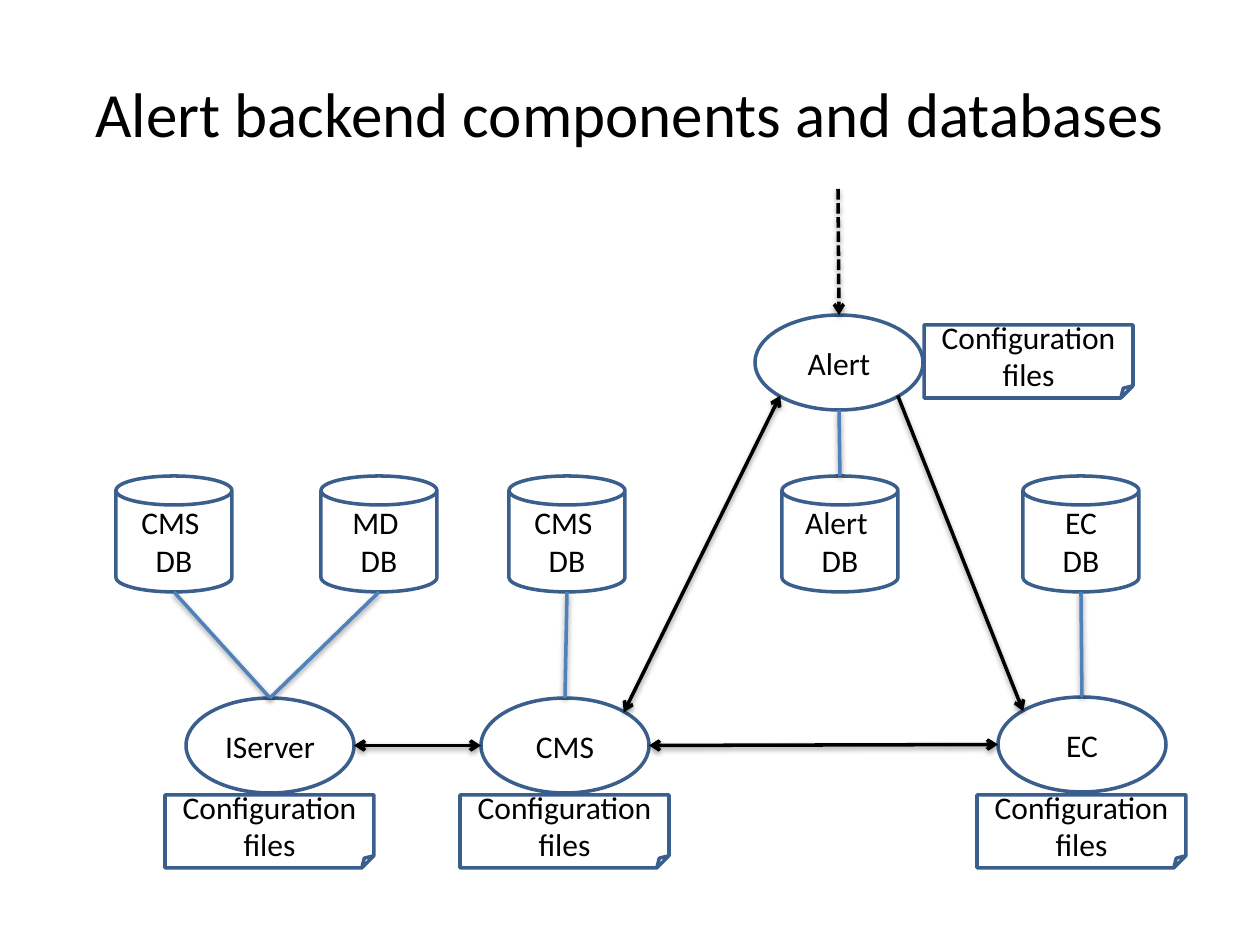
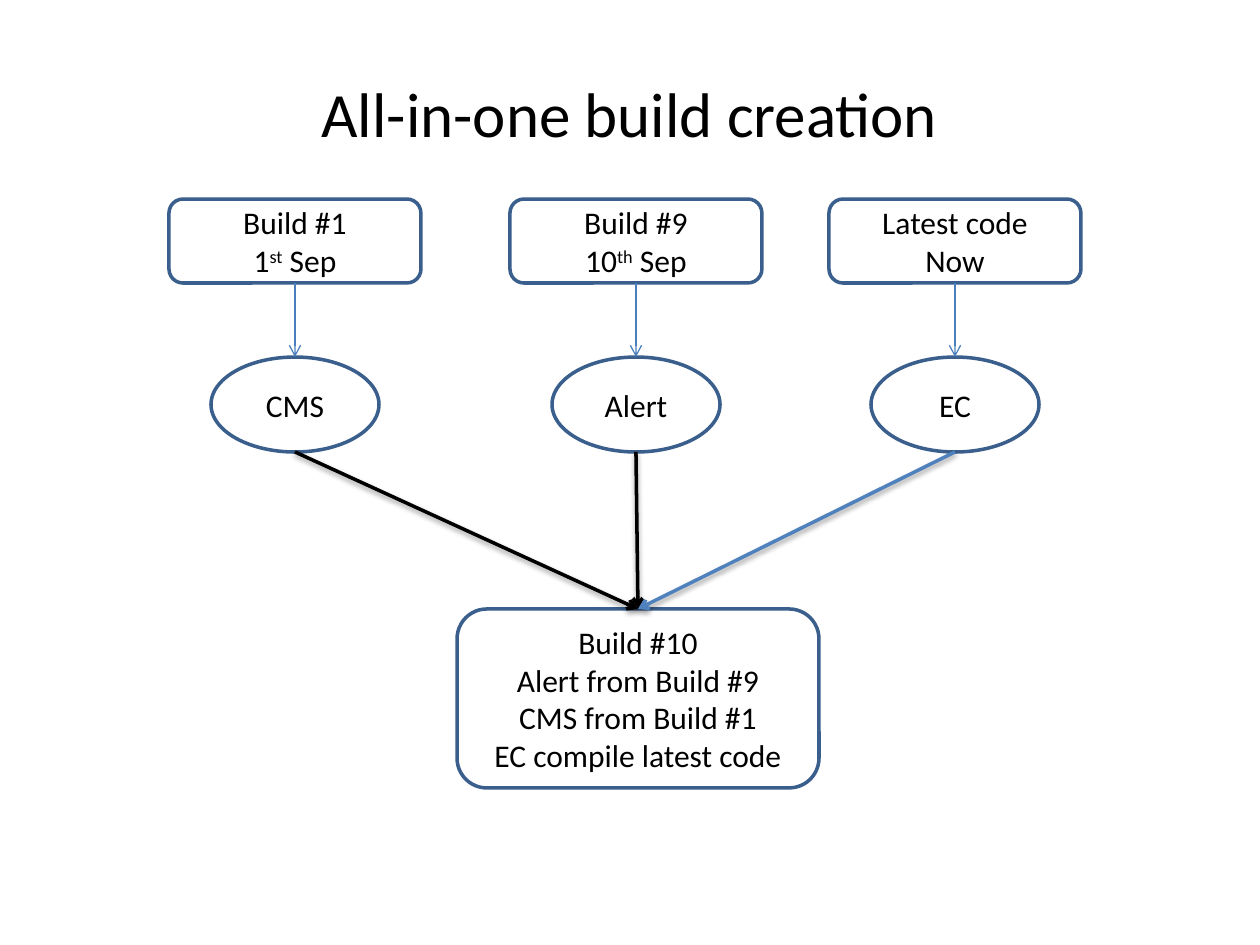
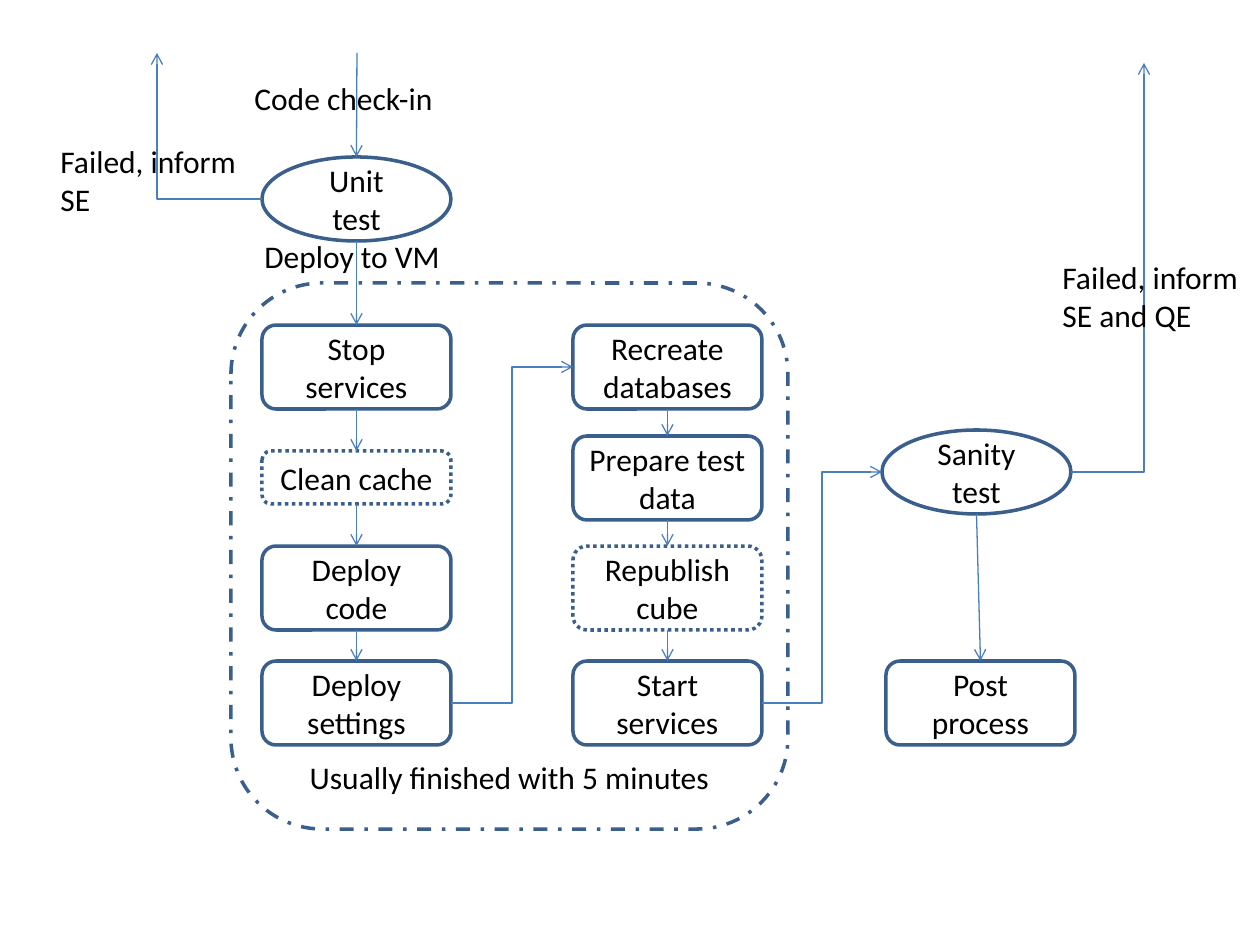
from lxml import etree
from pptx import Presentation
from pptx.dml.color import RGBColor
from pptx.enum.dml import MSO_LINE
from pptx.enum.shapes import MSO_CONNECTOR, MSO_SHAPE
from pptx.enum.text import MSO_ANCHOR, MSO_AUTO_SIZE, PP_ALIGN
from pptx.oxml.ns import qn
from pptx.util import Pt

EMU_PER_PX = 914400 / 126
BLANK_LAYOUT = 6
FONT = "Calibri"
BLACK = "000000"
OUTLINE = "3A5F8C"
BLUE = "4F81BD"
THIN_BLUE = "4B7EBC"

CAN = MSO_SHAPE.CAN
ELLIPSE = MSO_SHAPE.OVAL
NOTE = MSO_SHAPE.FOLDED_CORNER
ROUNDED = MSO_SHAPE.ROUNDED_RECTANGLE
STRAIGHT = MSO_CONNECTOR.STRAIGHT
ELBOW = MSO_CONNECTOR.ELBOW
DOTTED = MSO_LINE.ROUND_DOT
DASHED = MSO_LINE.SQUARE_DOT
DASH_DOT = MSO_LINE.DASH_DOT
CENTER = PP_ALIGN.CENTER
LEFT = PP_ALIGN.LEFT
TOP = MSO_ANCHOR.TOP
MIDDLE = MSO_ANCHOR.MIDDLE
BOTTOM = MSO_ANCHOR.BOTTOM
GROW = MSO_AUTO_SIZE.SHAPE_TO_FIT_TEXT

# Fractions of a shape's width and height; diagonals lie on an ellipse.
PLACES = {
    "top": (0.5, 0), "left": (0, 0.5), "bottom": (0.5, 1), "right": (1, 0.5),
    "top left": (0.15, 0.15), "top right": (0.85, 0.15),
    "bottom left": (0.15, 0.85), "bottom right": (0.85, 0.85),
}
SITES = {"top": 0, "left": 1, "bottom": 2, "right": 3}

ELLIPSE_WIDTH, ELLIPSE_HEIGHT = 168, 95
CAN_SIZE, CAN_TOP = 116, 476
NOTE_WIDTH, NOTE_HEIGHT, NOTE_TOP = 209, 73, 795
BUILD_WIDTH, BUILD_HEIGHT = 252, 84
STEP_WIDTH, STEP_HEIGHT = 189, 84


def px(length):
    return round(length * EMU_PER_PX)


def color(hex_string):
    return RGBColor.from_string(hex_string)


def write_text(shape, text, size=18, align=CENTER, anchor=MIDDLE):
    """Write one paragraph per line; text between ^ marks is superscript."""
    frame = shape.text_frame
    frame.word_wrap = True
    frame.vertical_anchor = anchor
    for index, line in enumerate(text.split("\n")):
        paragraph = frame.add_paragraph() if index else frame.paragraphs[0]
        paragraph.alignment = align
        for position, piece in enumerate(line.split("^")):
            run = paragraph.add_run()
            run.text = piece
            run.font.name = FONT
            run.font.size = Pt(size)
            run.font.color.rgb = color(BLACK)
            if position % 2:
                run._r.get_or_add_rPr().set("baseline", "30000")


def add_label(slide, text, left, top, width, height, **text_format):
    box = slide.shapes.add_textbox(px(left), px(top), px(width), px(height))
    write_text(box, text, anchor=TOP, **text_format)
    box.text_frame.auto_size = GROW


def add_title(slide, text):
    add_label(slide, text, 73, 68, 1113, 90, size=36)


def add_box(slide, kind, text, left, top, width, height, dash=None, anchor=MIDDLE):
    shape = slide.shapes.add_shape(kind, px(left), px(top), px(width), px(height))
    shape.shadow.inherit = False
    shape.fill.background()
    shape.line.color.rgb = color(OUTLINE)
    shape.line.width = Pt(2)
    if dash:
        shape.line.dash_style = dash
    write_text(shape, text, anchor=anchor)
    return shape


def add_component(slide, text, left, top):
    return add_box(slide, ELLIPSE, text, left, top, ELLIPSE_WIDTH, ELLIPSE_HEIGHT)


def add_database(slide, text, left):
    return add_box(slide, CAN, text, left, CAN_TOP, CAN_SIZE, CAN_SIZE)


def add_note(slide, left, top):
    add_box(slide, NOTE, "Configuration files", left, top, NOTE_WIDTH, NOTE_HEIGHT)


def add_step(slide, text, left, top, kind=ROUNDED, height=STEP_HEIGHT, dash=None):
    return add_box(slide, kind, text, left, top, STEP_WIDTH, height, dash=dash)


def locate(end):
    """Turn a pair of px, or a shape and one of its places, into EMU."""
    if isinstance(end[0], int):
        return px(end[0]), px(end[1])
    shape, place = end
    across, down = PLACES[place]
    return (round(shape.left + across * shape.width),
            round(shape.top + down * shape.height))


def can_join(end):
    return not isinstance(end[0], int) and end[0].auto_shape_type == ROUNDED


def add_effects(connector, shadow):
    effects = etree.SubElement(connector._element.spPr, qn("a:effectLst"))
    if shadow:
        outer = etree.SubElement(effects, qn("a:outerShdw"), blurRad="40000",
                                 dist="20000", dir="5400000", rotWithShape="0")
        shade = etree.SubElement(outer, qn("a:srgbClr"), val=BLACK)
        etree.SubElement(shade, qn("a:alpha"), val="38000")


def connect(slide, start, end, line_color=THIN_BLUE, width=0.75, kind=STRAIGHT,
            heads=("tailEnd",), dash=None, shadow=False, one_bend=False):
    connector = slide.shapes.add_connector(kind, *locate(start), *locate(end))
    if kind == STRAIGHT and can_join(start):
        connector.begin_connect(start[0], SITES[start[1]])
    if kind == STRAIGHT and can_join(end):
        connector.end_connect(end[0], SITES[end[1]])
    if one_bend:
        connector._element.spPr.find(qn("a:prstGeom")).set("prst", "bentConnector2")
    connector.line.color.rgb = color(line_color)
    connector.line.width = Pt(width)
    if dash:
        connector.line.dash_style = dash
    for head in heads:
        etree.SubElement(connector.line._get_or_add_ln(), qn(f"a:{head}"), type="arrow")
    add_effects(connector, shadow)


def connect_bold(slide, start, end, line_color=BLACK, **line_format):
    connect(slide, start, end, line_color, width=2, shadow=True, **line_format)


def build_components_slide(slide):
    add_title(slide, "Alert backend components and databases")
    iserver = add_component(slide, "IServer", 186, 698)
    cms = add_component(slide, "CMS", 481, 698)
    ec = add_component(slide, "EC", 998, 697)
    alert = add_component(slide, "Alert", 755, 315)

    databases = [
        ("CMS \nDB", 116, "bottom", iserver, "top"),
        ("MD \nDB", 321, "bottom", iserver, "top"),
        ("CMS \nDB", 509, "bottom", cms, "top"),
        ("Alert \nDB", 782, "top", alert, "bottom"),
        ("EC\nDB", 1023, "bottom", ec, "top"),
    ]
    for text, left, database_side, component, component_side in databases:
        database = add_database(slide, text, left)
        connect_bold(slide, (component, component_side), (database, database_side),
                     BLUE, heads=())

    both_heads = ("headEnd", "tailEnd")
    connect_bold(slide, (iserver, "right"), (cms, "left"), heads=both_heads)
    connect_bold(slide, (cms, "top right"), (alert, "bottom left"), heads=both_heads)
    connect_bold(slide, (cms, "right"), (ec, "left"), heads=both_heads)
    connect_bold(slide, (alert, "bottom right"), (ec, "top left"))
    connect_bold(slide, (838, 189), (alert, "top"), dash=DASHED)

    add_note(slide, 924, 325)
    for component_left in (186, 481, 998):
        add_note(slide, component_left + (ELLIPSE_WIDTH - NOTE_WIDTH) // 2, NOTE_TOP)


def build_all_in_one_slide(slide):
    add_title(slide, "All-in-one build creation")
    result = add_box(
        slide, ROUNDED,
        "Build #10\nAlert from Build #9\nCMS from Build #1\nEC compile latest code",
        457, 609, 362, 179)
    sources = [
        ("Build #1\n1^st^ Sep", "CMS", 169, BLACK),
        ("Build #9\n10^th^ Sep", "Alert", 510, BLACK),
        ("Latest code\nNow", "EC", 829, BLUE),
    ]
    for build_text, component_text, left, line_color in sources:
        build = add_box(slide, ROUNDED, build_text, left, 199, BUILD_WIDTH, BUILD_HEIGHT)
        component = add_component(
            slide, component_text, left + (BUILD_WIDTH - ELLIPSE_WIDTH) // 2, 357)
        connect(slide, (build, "bottom"), (component, "top"))
        connect_bold(slide, (component, "bottom"), (result, "top"), line_color)


def add_step_column(slide, left, steps):
    """Stack steps, join each to the next, and return the first and last."""
    shapes = [add_step(slide, text, left, top, height=height, dash=dash)
              for text, top, height, dash in steps]
    for upper, lower in zip(shapes, shapes[1:]):
        connect(slide, (upper, "bottom"), (lower, "top"))
    return shapes[0], shapes[-1]


def build_pipeline_slide(slide):
    unit_test = add_step(slide, "Unit test", 262, 157, kind=ELLIPSE)
    sanity_test = add_step(slide, "Sanity test", 882, 430, kind=ELLIPSE)
    post_process = add_step(slide, "Post process", 886, 661)
    stop, settings = add_step_column(slide, 262, [
        ("Stop services", 325, STEP_HEIGHT, None),
        ("Clean cache", 451, 53, DOTTED),
        ("Deploy code", 546, STEP_HEIGHT, None),
        ("Deploy settings", 661, STEP_HEIGHT, None),
    ])
    recreate, start = add_step_column(slide, 573, [
        ("Recreate databases", 325, STEP_HEIGHT, None),
        ("Prepare test data", 436, STEP_HEIGHT, None),
        ("Republish cube", 546, STEP_HEIGHT, DOTTED),
        ("Start services", 661, STEP_HEIGHT, None),
    ])

    connect(slide, (357, 53), (unit_test, "top"))
    connect(slide, (unit_test, "bottom"), (stop, "top"))
    connect(slide, (sanity_test, "bottom"), (post_process, "top"))
    connect(slide, (settings, "right"), (recreate, "left"), kind=ELBOW)
    connect(slide, (start, "right"), (sanity_test, "left"), kind=ELBOW)
    connect(slide, (unit_test, "left"), (157, 53), kind=ELBOW, one_bend=True)
    connect(slide, (sanity_test, "right"), (1144, 63), kind=ELBOW, one_bend=True)

    labels = [
        ("Code check-in", 242, 73, 220, 50),
        ("Failed, inform SE", 48, 136, 210, 90),
        ("Deploy to VM", 252, 231, 252, 50),
        ("Failed, inform SE and QE", 1050, 252, 210, 90),
    ]
    for label in labels:
        add_label(slide, *label, align=LEFT)
    add_box(slide, ROUNDED, "Usually finished with 5 minutes", 231, 283, 557, 546,
            dash=DASH_DOT, anchor=BOTTOM)


def main():
    presentation = Presentation()
    presentation.slide_width = px(1260)
    presentation.slide_height = px(945)
    layout = presentation.slide_layouts[BLANK_LAYOUT]
    for build in (build_components_slide, build_all_in_one_slide, build_pipeline_slide):
        build(presentation.slides.add_slide(layout))
    presentation.save("out.pptx")


if __name__ == "__main__":
    main()
